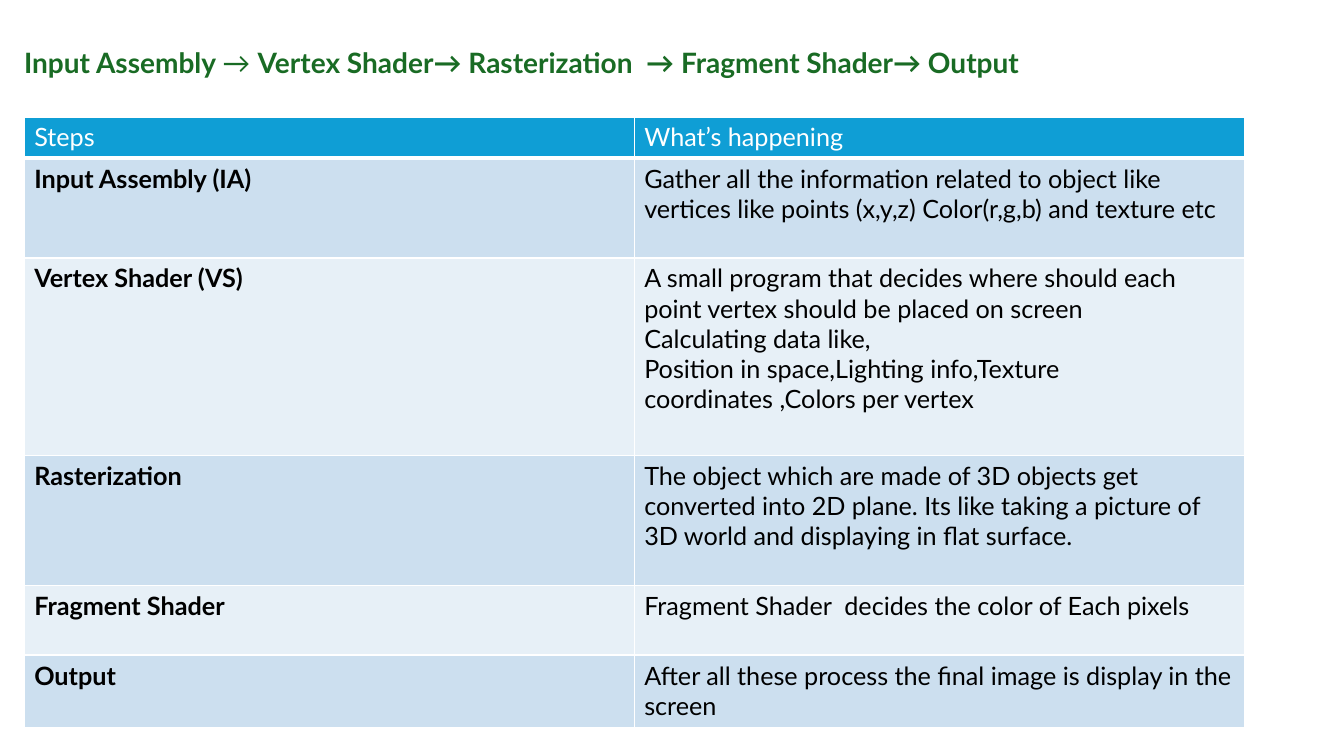
"""Build the slide on the stages of the rendering pipeline."""
from dataclasses import dataclass

from lxml.etree import SubElement
from pptx import Presentation
from pptx.dml.color import RGBColor
from pptx.enum.text import MSO_AUTO_SIZE
from pptx.oxml.ns import qn
from pptx.slide import Slide
from pptx.table import _Cell
from pptx.text.text import _Run
from pptx.util import Inches, Pt

GREEN = RGBColor(0x19, 0x6B, 0x24)
BLUE = RGBColor(0x0F, 0x9E, 0xD5)
PALE_BLUE = RGBColor(0xCC, 0xDF, 0xEF)
PALER_BLUE = RGBColor(0xE7, 0xF0, 0xF7)
WHITE = RGBColor(0xFF, 0xFF, 0xFF)
BLACK = RGBColor(0x00, 0x00, 0x00)

COLUMN_WIDTH = 6.05


@dataclass
class Stage:
    """One table row: its height, step name and explanation paragraphs."""
    height: float
    step: str
    happening: list[str]


HEADING = Stage(0.41, "Steps", ["What’s happening"])
STAGES = [
    Stage(0.99, "Input Assembly (IA)", [
        "Gather all the information related to object like vertices like points (x,y,z) "
        "Color(r,g,b) and texture etc"]),
    Stage(1.96, "Vertex Shader (VS)", [
        "A small program that decides where should each point vertex should be placed "
        "on screen\nCalculating data like,",
        "Position in space,Lighting info,Texture coordinates ,Colors per vertex"]),
    Stage(1.29, "Rasterization", [
        "The object which are made of 3D objects get converted into 2D plane. Its like "
        "taking a picture of 3D world and displaying in flat surface."]),
    Stage(0.69, "Fragment Shader", ["Fragment Shader  decides the color of Each pixels"]),
    Stage(0.72, "Output", [
        "After all these process the final image is display in the screen"]),
]
PIPELINE = [
    ("Input Assembly ", True),
    ("→ ", False),
    ("Vertex Shader→ Rasterization  → Fragment Shader→ Output", True),
]


def format_run(run: _Run, size: float, color: RGBColor, bold: bool) -> None:
    """Apply the slide's font to a run."""
    for name, value in {"name": "Lato", "size": Pt(size), "bold": bold}.items():
        setattr(run.font, name, value)
    run.font.color.rgb = color


def add_pipeline(slide: Slide) -> None:
    """Draw the line that names the stages in order."""
    pipeline = slide.shapes.add_textbox(Inches(0.14), Inches(0.4), Inches(11.4), Inches(0.44))
    frame = pipeline.text_frame
    frame.word_wrap = True
    frame.auto_size = MSO_AUTO_SIZE.SHAPE_TO_FIT_TEXT
    for wording, bold in PIPELINE:
        run = frame.paragraphs[0].add_run()
        run.text = wording
        format_run(run, 20, GREEN, bold)


def add_borders(cell: _Cell, bottom: float) -> None:
    """Give a cell white borders with the given bottom width."""
    properties = cell._tc.get_or_add_tcPr()
    for side, width in {"lnL": 1, "lnR": 1, "lnT": 1, "lnB": bottom}.items():
        line = SubElement(properties, qn(f"a:{side}"), w=str(Pt(width)))
        SubElement(SubElement(line, qn("a:solidFill")), qn("a:srgbClr"), val=str(WHITE))


def fill_cell(cell: _Cell, paragraphs: list[str], fill: RGBColor, color: RGBColor,
              bold: bool, bottom: float) -> None:
    """Write and colour one cell."""
    add_borders(cell, bottom)
    cell.fill.solid()
    cell.fill.fore_color.rgb = fill
    frame = cell.text_frame
    for index, wording in enumerate(paragraphs):
        paragraph = frame.add_paragraph() if index else frame.paragraphs[0]
        paragraph.text = wording
        for run in paragraph.runs:
            format_run(run, 18, color, bold)


def add_stage_table(slide: Slide) -> None:
    """Draw the table of stages under its heading row."""
    rows = [HEADING, *STAGES]
    height = sum(stage.height for stage in rows)
    table = slide.shapes.add_table(len(rows), 2, Inches(0.24), Inches(1.16),
                                   Inches(2 * COLUMN_WIDTH), Inches(height)).table
    for column in table.columns:
        column.width = Inches(COLUMN_WIDTH)
    for index, stage in enumerate(rows):
        heading = index == 0
        band = PALE_BLUE if index % 2 else PALER_BLUE
        fill, color, bottom = (BLUE, WHITE, 3) if heading else (band, BLACK, 1)
        table.rows[index].height = Inches(stage.height)
        fill_cell(table.cell(index, 0), [stage.step], fill, color, not heading, bottom)
        fill_cell(table.cell(index, 1), stage.happening, fill, color, False, bottom)


def main() -> None:
    """Build and save the presentation."""
    presentation = Presentation()
    presentation.slide_width = Inches(13.33)
    presentation.slide_height = Inches(7.5)
    slide = presentation.slides.add_slide(presentation.slide_layouts[6])
    add_pipeline(slide)
    add_stage_table(slide)
    presentation.save("out.pptx")


if __name__ == "__main__":
    main()
